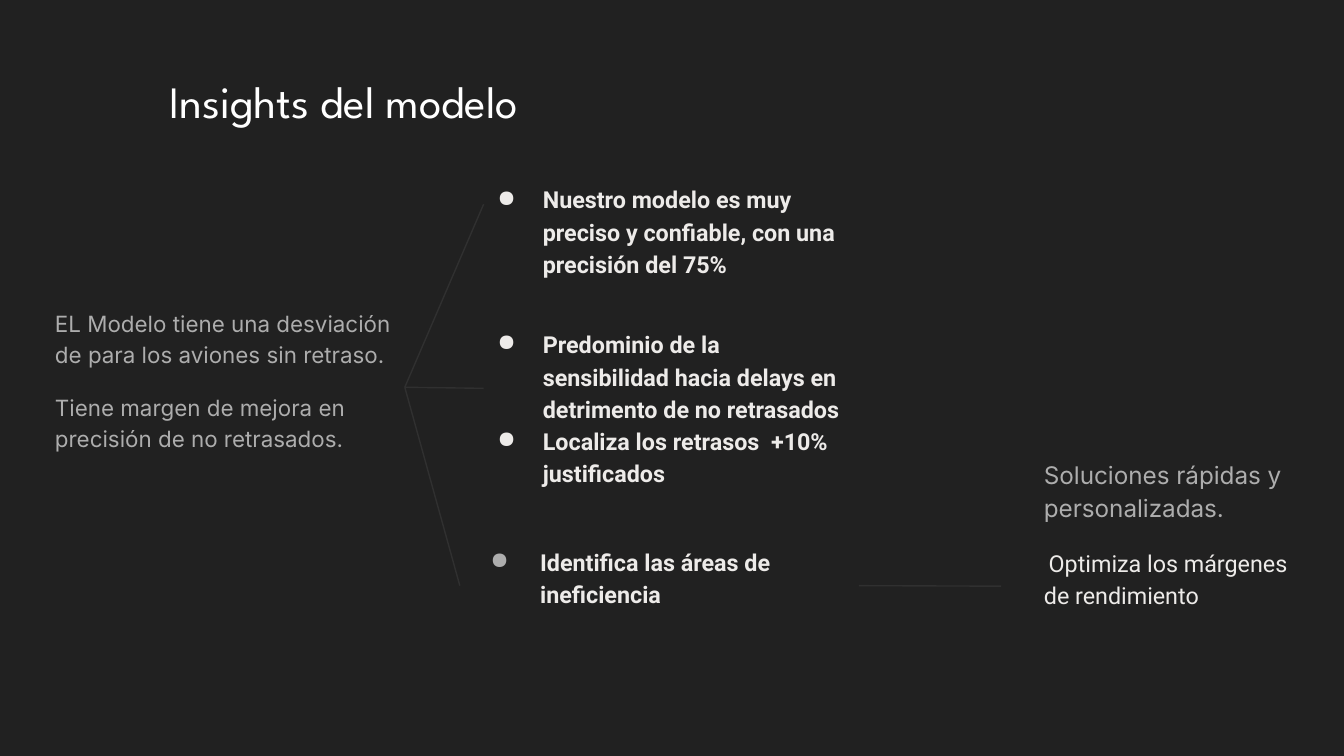
from typing import NamedTuple, Optional

from lxml.etree import SubElement
from pptx import Presentation
from pptx.dml.color import RGBColor
from pptx.enum.shapes import MSO_CONNECTOR
from pptx.enum.text import MSO_ANCHOR, MSO_AUTO_SIZE, PP_ALIGN
from pptx.oxml.ns import qn
from pptx.util import Cm, Pt

DARK = RGBColor(0x21, 0x21, 0x21)
WHITE = RGBColor(0xFF, 0xFF, 0xFF)
PALE = RGBColor(0xED, 0xEB, 0xE9)
GREY = RGBColor(0xAD, 0xAD, 0xAD)
RULE = RGBColor(0x30, 0x30, 0x30)
INSET = Cm(0.25)
INDENT = Cm(1.27)


class Run(NamedTuple):
    text: str
    size: float
    font: str = "Inter"
    color: RGBColor = GREY
    bold: bool = False


class Para(NamedTuple):
    runs: list[Run]
    before: float = 0
    dot: Optional[RGBColor] = None
    hang: float = 0.86


class Box(NamedTuple):
    """Place in centimetres, with the paragraphs inside."""
    left: float
    top: float
    width: float
    height: float
    paras: list[Para]


class Link(NamedTuple):
    start: tuple[float, float]
    end: tuple[float, float]


def point(text: str, dot: RGBColor = PALE, hang: float = 0.86) -> Para:
    """Bold bulleted paragraph."""
    return Para([Run(text, 12.5, "Roboto", PALE, True)], dot=dot, hang=hang)


TITLE = Box(2.95, 1.02, 21.54, 1.78, [
    Para([Run("Insights del modelo", 24, "League Spartan", WHITE)])])

BOXES = [
    Box(0.79, 5.54, 6.86, 3.2, [
        Para([Run("EL Modelo tiene una desviación de para los aviones sin retraso.", 12)]),
        Para([Run("Tiene margen de mejora en precisión de no retrasados.", 12)], 12)]),
    Box(19.48, 8.36, 5.51, 3.1, [
        Para([Run("Soluciones rápidas y personalizadas.", 13)]),
        Para([Run(" ", 10.5, "Roboto", PALE),
              Run("Optimiza los márgenes de rendimiento", 12.5, "Roboto", PALE)], 12)]),
    Box(8.74, 3.18, 7.98, 2.36, [
        point("Nuestro modelo es muy preciso y confiable, con una precisión del 75%")]),
    Box(8.74, 5.92, 7.44, 3.5, [
        point("Predominio de la sensibilidad hacia delays en detrimento de no retrasados"),
        point("Localiza los retrasos  +10% justificados")]),
    Box(8.69, 10.03, 7.54, 2.03, [
        point("Identifica las áreas de ineficiencia", GREY, 0.94)]),
]

HUB = (7.65, 7.32)
LINKS = [Link(HUB, end) for end in ((9.14, 3.86), (9.14, 7.34), (8.69, 11.07))]
LINKS.append(Link((16.23, 11.07), (18.92, 11.08)))


def add_dot(para, color: RGBColor, hang: float) -> None:
    props = para._p.get_or_add_pPr()
    props.set("marL", str(INDENT))
    props.set("indent", str(-Cm(hang)))
    tint = SubElement(props, qn("a:buClr"))
    SubElement(tint, qn("a:srgbClr"), val=str(color))
    SubElement(props, qn("a:buChar"), char="●")


def fill_text(shape, box: Box, space: float, anchor: MSO_ANCHOR) -> None:
    """Set the frame of a text shape and write its paragraphs."""
    frame = shape.text_frame
    frame.word_wrap = True
    frame.auto_size = MSO_AUTO_SIZE.NONE
    frame.vertical_anchor = anchor
    frame.margin_left = frame.margin_right = INSET
    frame.margin_top = frame.margin_bottom = INSET
    for i, item in enumerate(box.paras):
        para = frame.add_paragraph() if i else frame.paragraphs[0]
        para.alignment = PP_ALIGN.LEFT
        para.line_spacing = space
        para.space_before = Pt(item.before)
        if item.dot is not None:
            add_dot(para, item.dot, item.hang)
        for part in item.runs:
            run = para.add_run()
            run.text = part.text
            run.font.name = part.font
            run.font.size = Pt(part.size)
            run.font.bold = part.bold
            run.font.color.rgb = part.color


def set_title(slide, box: Box) -> None:
    title = slide.shapes.title
    title.left, title.top = Cm(box.left), Cm(box.top)
    title.width, title.height = Cm(box.width), Cm(box.height)
    fill_text(title, box, 1.0, MSO_ANCHOR.MIDDLE)


def add_box(slide, box: Box) -> None:
    shape = slide.shapes.add_textbox(*(Cm(n) for n in box[:4]))
    fill_text(shape, box, 1.15, MSO_ANCHOR.TOP)


def add_link(slide, link: Link) -> None:
    ends = (Cm(n) for n in link.start + link.end)
    line = slide.shapes.add_connector(MSO_CONNECTOR.STRAIGHT, *ends)
    line.line.color.rgb = RULE
    line.line.width = Pt(0.75)
    SubElement(line._element.spPr, qn("a:effectLst"))


def main() -> None:
    deck = Presentation()
    deck.slide_width, deck.slide_height = Cm(25.4), Cm(14.29)
    slide = deck.slides.add_slide(deck.slide_layouts[5])
    slide.background.fill.solid()
    slide.background.fill.fore_color.rgb = DARK
    set_title(slide, TITLE)
    for box in BOXES:
        add_box(slide, box)
    for link in LINKS:
        add_link(slide, link)
    deck.save("out.pptx")


if __name__ == "__main__":
    main()
